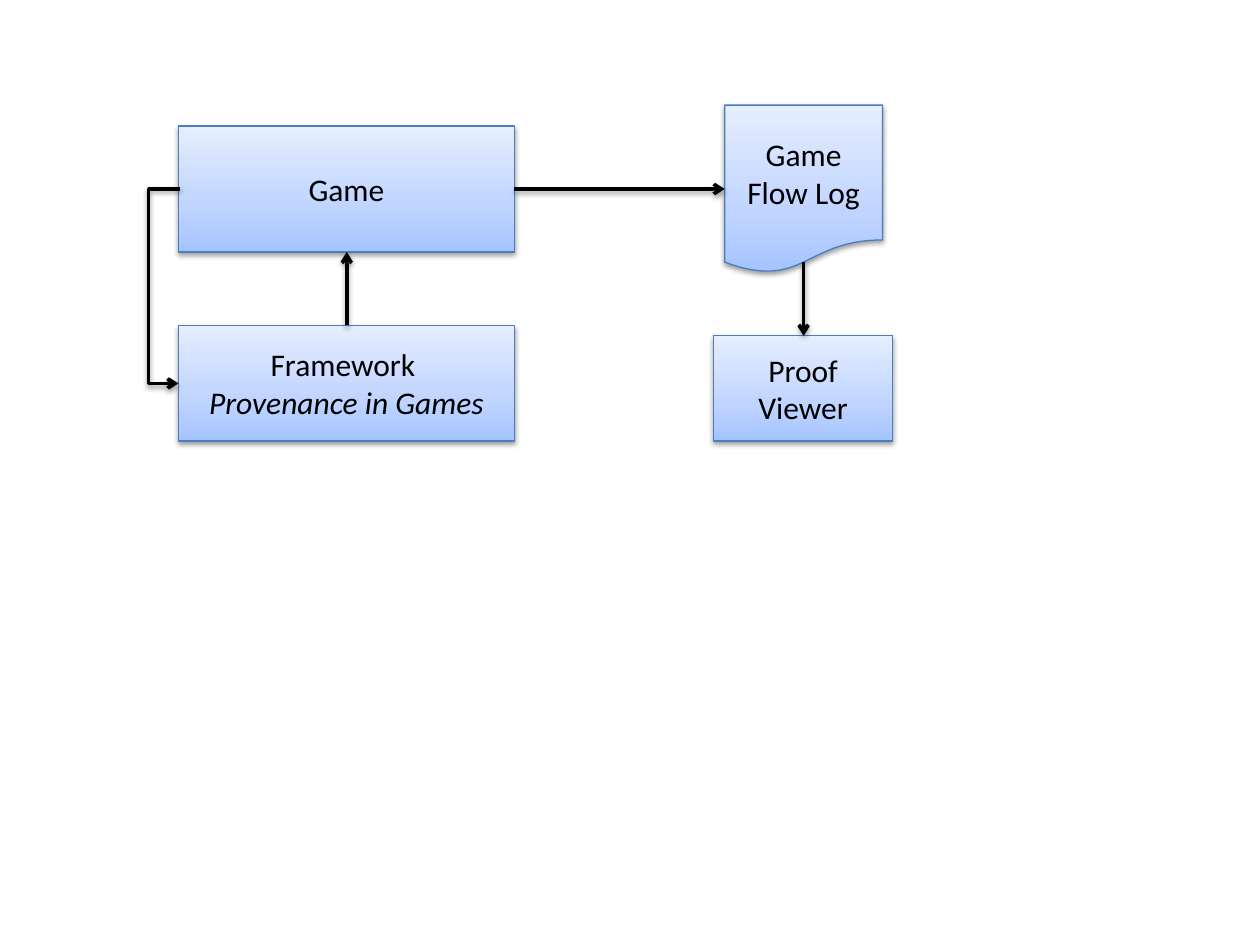
from lxml.etree import SubElement
from pptx import Presentation
from pptx.dml.color import RGBColor
from pptx.enum.shapes import MSO_CONNECTOR as Link, MSO_SHAPE as Shape
from pptx.enum.text import MSO_ANCHOR as Anchor, PP_ALIGN as Align
from pptx.oxml.ns import qn
from pptx.util import Cm, Pt

BLACK = RGBColor(0x00, 0x00, 0x00)
EDGE = RGBColor(0x4B, 0x7E, 0xBC)
GRADIENT = [
    (0, RGBColor(0xA4, 0xC4, 0xFF)),
    (35, RGBColor(0xBF, 0xD4, 0xFF)),
    (100, RGBColor(0xE6, 0xEE, 0xFF)),
]


def add_text(para, text, size=18, font="Calibri", color=BLACK, italic=False):
    para.alignment = Align.CENTER
    span = para.add_run()
    span.text = text
    span.font.size = Pt(size)
    span.font.name = font
    span.font.color.rgb = color
    span.font.italic = italic


def add_shadow(item):
    properties = item._element.spPr
    effects = properties.find(qn("a:effectLst"))
    if effects is None:
        effects = SubElement(properties, qn("a:effectLst"))
    shadow = SubElement(effects, qn("a:outerShdw"), blurRad=str(Pt(3.1)),
                        dist=str(Pt(1.6)), dir="5400000", rotWithShape="0")
    color = SubElement(shadow, qn("a:srgbClr"), val=str(BLACK))
    SubElement(color, qn("a:alpha"), val="38000")


deck = Presentation()
deck.slide_width, deck.slide_height = Cm(25.4), Cm(19.05)
page = deck.slides.add_slide(deck.slide_layouts[6])

# Boxes: shape, left, top, width, height, lines of (text, italic)
boxes = [
    (Shape.FLOWCHART_DOCUMENT, 14.61, 2.12, 3.18, 3.39, [("Game Flow Log", False)]),
    (Shape.FLOWCHART_PROCESS, 14.39, 6.77, 3.6, 2.12, [("Proof Viewer", False)]),
    (Shape.RECTANGLE, 3.6, 2.54, 6.77, 2.54, [("Game", False)]),
    (Shape.RECTANGLE, 3.6, 6.56, 6.77, 2.33,
     [("Framework ", False), ("Provenance in Games", True)]),
]
for kind, left, top, width, height, lines in boxes:
    box = page.shapes.add_shape(kind, Cm(left), Cm(top), Cm(width), Cm(height))
    box.fill.gradient()
    box.fill.gradient_angle = 90
    stops = box._element.spPr.find(qn("a:gradFill")).find(qn("a:gsLst"))
    for stop in list(stops):
        stops.remove(stop)
    for position, color in GRADIENT:
        stop = SubElement(stops, qn("a:gs"), pos=str(position * 1000))
        SubElement(stop, qn("a:srgbClr"), val=str(color))
    box.line.color.rgb = EDGE
    box.line.width = Pt(0.75)
    box.shadow.inherit = False
    add_shadow(box)

    frame = box.text_frame
    frame.word_wrap = True
    frame.vertical_anchor = Anchor.MIDDLE
    for number, (text, italic) in enumerate(lines):
        para = frame.add_paragraph() if number else frame.paragraphs[0]
        add_text(para, text, italic=italic)

# Arrows: connector, start, end
arrows = [
    (Link.STRAIGHT, (10.37, 3.81), (14.61, 3.81)),
    (Link.STRAIGHT, (16.2, 5.29), (16.2, 6.77)),
    (Link.ELBOW, (3.64, 3.81), (3.6, 7.73)),
    (Link.STRAIGHT, (6.99, 6.56), (6.99, 5.08)),
]
for kind, start, end in arrows:
    arrow = page.shapes.add_connector(kind, *map(Cm, start + end))
    arrow.line.color.rgb = BLACK
    arrow.line.width = Pt(2)
    SubElement(arrow.line._get_or_add_ln(), qn("a:tailEnd"), type="arrow")
    add_shadow(arrow)
    if kind == Link.ELBOW:
        # The bend lies 16 connector widths left of the start
        geometry = arrow._element.spPr.find(qn("a:prstGeom"))
        guides = geometry.find(qn("a:avLst"))
        if guides is None:
            guides = SubElement(geometry, qn("a:avLst"))
        SubElement(guides, qn("a:gd"), name="adj1", fmla="val 1600000")

deck.save("out.pptx")
